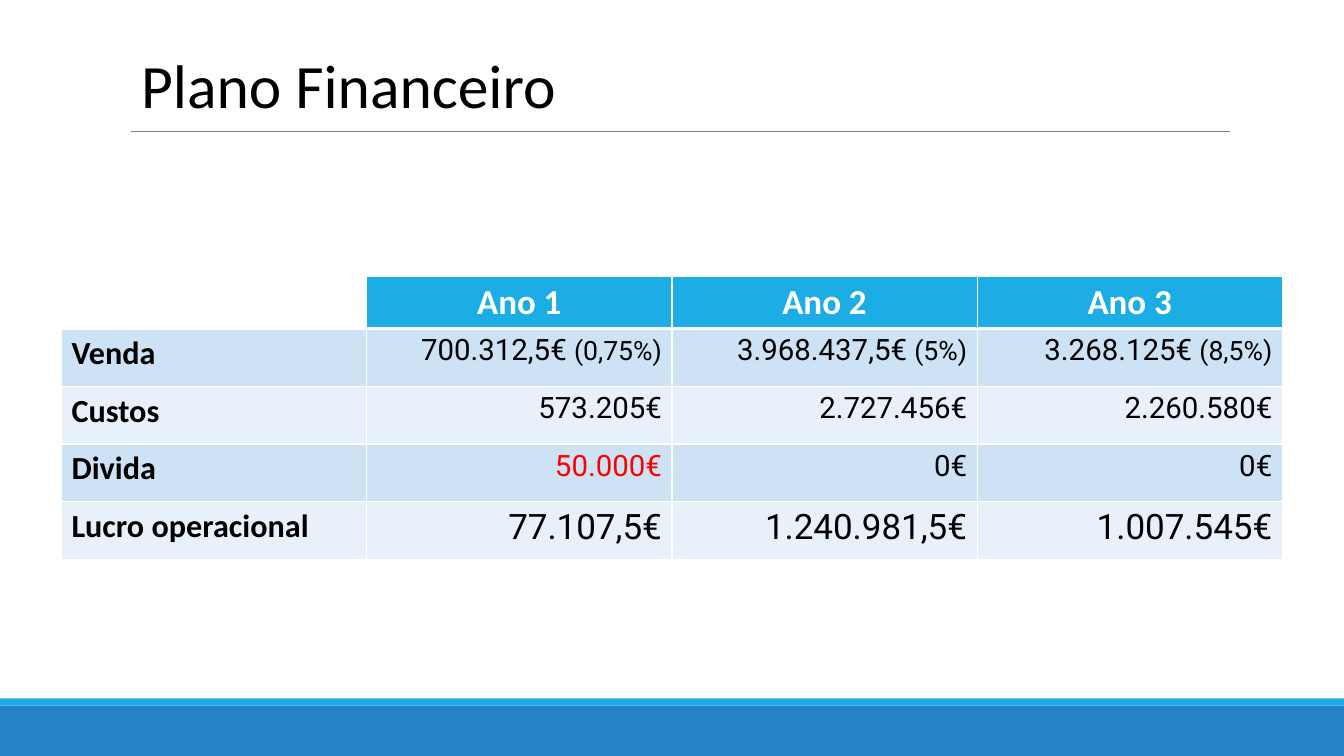
from lxml import etree
from pptx import Presentation, util as u
from pptx.dml.color import RGBColor
from pptx.enum import shapes, text
from pptx.oxml.ns import qn

WIDTH, HEIGHT = 13.33, 7.5
WHITE, BLACK, RED = "FFFFFF", "000000", "FF0000"
CYAN, BLUE, GREY = "1CADE4", "2683C6", "808080"
BANDS = ("CDE3F5", "E8F1FA")

YEARS = ["", "Ano 1", "Ano 2", "Ano 3"]
# Label, value size, yearly amounts
PLAN = [
    ("Venda", 21, ["700.312,5€ (0,75%)", "3.968.437,5€ (5%)", "3.268.125€ (8,5%)"]),
    ("Custos", 21, ["573.205€", "2.727.456€", "2.260.580€"]),
    ("Divida", 21, ["50.000€", "0€", "0€"]),
    ("Lucro operacional", 25, ["77.107,5€", "1.240.981,5€", "1.007.545€"]),
]


def paint(color_format, color):
    color_format.rgb = RGBColor.from_string(color)


def fill(part, color):
    part.fill.solid()
    paint(part.fill.fore_color, color)


def style(run, size, font="Calibri", color=BLACK, bold=False):
    run.font.size, run.font.name, run.font.bold = u.Pt(size), font, bold
    paint(run.font.color, color)


def border(cell, bottom):
    """White lines on all four sides, placed ahead of the cell fill."""
    properties = cell._tc.get_or_add_tcPr()
    for place, (side, points) in enumerate(
            [("L", 1), ("R", 1), ("T", 1), ("B", bottom)]):
        line = etree.Element(qn(f"a:ln{side}"), w=str(u.Pt(points)))
        solid = etree.SubElement(line, qn("a:solidFill"))
        etree.SubElement(solid, qn("a:srgbClr"), val=WHITE)
        properties.insert(place, line)


def add_footer(slide, left, top, width, height):
    stripe = 0.07
    for color, y, tall in ((BLUE, top + stripe, height - stripe), (CYAN, top, stripe)):
        band = slide.shapes.add_shape(
            shapes.MSO_SHAPE.RECTANGLE, *map(u.Inches, (left, y, width, tall)))
        band.shadow.inherit = False
        fill(band, color)
        band.line.fill.background()


def add_heading(slide, left, top, width, height):
    title = slide.shapes.title
    title.left, title.top, title.width, title.height = map(
        u.Inches, (left, top, width, height))
    frame = title.text_frame
    frame.text = "Plano Financeiro"
    frame.word_wrap = True
    frame.auto_size = text.MSO_AUTO_SIZE.SHAPE_TO_FIT_TEXT
    frame.vertical_anchor = text.MSO_ANCHOR.MIDDLE
    frame.paragraphs[0].alignment = text.PP_ALIGN.LEFT
    style(frame.paragraphs[0].runs[0], 44)

    # Rule under the title
    y = top + height + 0.05
    rule = slide.shapes.add_connector(
        shapes.MSO_CONNECTOR.STRAIGHT, *map(u.Inches, (left, y, left + 10.9, y)))
    rule.line.width = u.Pt(0.5)
    paint(rule.line.color, GREY)
    etree.SubElement(rule._element.spPr, qn("a:effectLst"))


def fill_amount(paragraph, amount, size, color):
    """Write the amount, with its share in brackets two points smaller."""
    value, gap, share = amount.partition(" ")
    paragraph.text = value + gap
    paragraph.alignment = text.PP_ALIGN.RIGHT
    style(paragraph.runs[0], size, "Roboto", color)
    if share:
        share_run = paragraph.add_run()
        share_run.text = share
        style(share_run, size - 2, "Roboto", color)


def add_plan(slide, left, top, width, height):
    head = 0.52
    table = slide.shapes.add_table(
        len(PLAN) + 1, len(YEARS), *map(u.Inches, (left, top, width, height))).table
    for column in table.columns:
        column.width = u.Inches(width / len(YEARS))
    for number, row in enumerate(table.rows):
        row.height = u.Inches((height - head) / len(PLAN) if number else head)

    # Header row
    for cell, year in zip(table.rows[0].cells, YEARS):
        fill(cell, CYAN if year else WHITE)
        border(cell, 3)
        if year:
            cell.text_frame.text = year
            heading = cell.text_frame.paragraphs[0]
            heading.alignment = text.PP_ALIGN.CENTER
            style(heading.runs[0], 25, color=WHITE, bold=True)

    # Body rows
    for number, (label, size, amounts) in enumerate(PLAN):
        cells = list(table.rows[number + 1].cells)
        for cell in cells:
            fill(cell, BANDS[number % 2])
            border(cell, 1)
        cells[0].text_frame.text = label
        style(cells[0].text_frame.paragraphs[0].runs[0], 23, bold=True)
        for cell, amount in zip(cells[1:], amounts):
            owed = label == "Divida" and amount != "0€"
            fill_amount(cell.text_frame.paragraphs[0], amount, size,
                        RED if owed else BLACK)


def main():
    deck = Presentation()
    deck.slide_width, deck.slide_height = u.Inches(WIDTH), u.Inches(HEIGHT)
    slide = deck.slides.add_slide(deck.slide_layouts[5])
    fill(slide.background, WHITE)
    add_footer(slide, 0, HEIGHT - 0.57, WIDTH, 0.57)
    add_plan(slide, 0.61, 2.74, 12.11, 2.81)
    add_heading(slide, 1.3, 0.41, 10.47, 0.84)
    deck.save("out.pptx")


if __name__ == "__main__":
    main()
